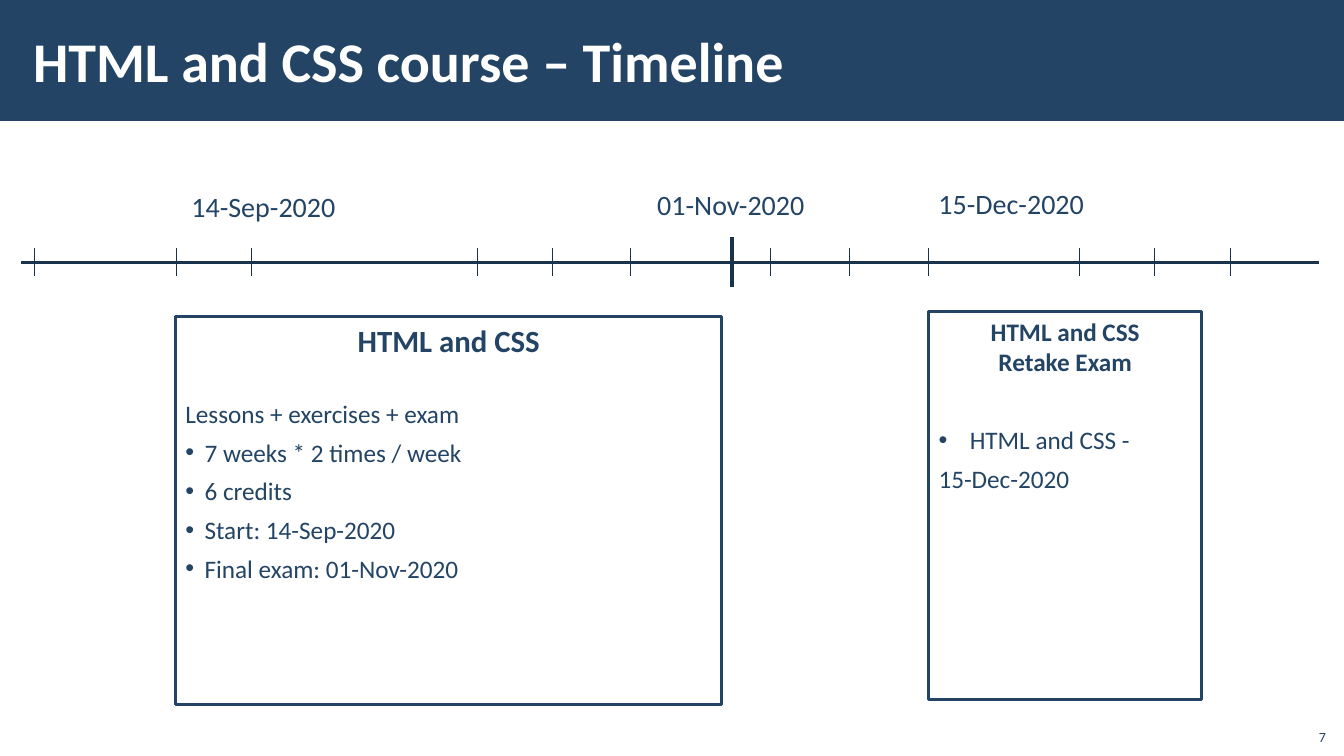
from lxml import etree
from pptx import Presentation
from pptx import util as u
from pptx.dml.color import RGBColor
from pptx.enum import shapes, text
from pptx.oxml.ns import qn

# Content; lengths are columns and rows of a grid of one-inch cells
COLUMNS, ROWS = 13.33, 7.5
NAVY, INK, WHITE = "234465", "1A334C", "FFFFFF"
LEFT, CENTER, RIGHT = text.PP_ALIGN.LEFT, text.PP_ALIGN.CENTER, text.PP_ALIGN.RIGHT
TOP, MIDDLE, BOTTOM = text.MSO_ANCHOR.TOP, text.MSO_ANCHOR.MIDDLE, text.MSO_ANCHOR.BOTTOM

TITLE = "HTML and CSS course – Timeline"
PAGE_NUMBER = "7"
AXIS = dict(left=0.21, right=13.08, row=2.6)
TICKS = [0.34, 1.75, 2.49, 4.73, 5.48, 6.25, 7.64, 8.42, 9.21, 10.71, 11.45, 12.2]
EXAM_MARK = 7.26
DATES = [
    ("14-Sep-2020", (1.8, 1.83, 1.68, 0.44)),
    ("01-Nov-2020", (6.42, 1.81, 1.68, 0.44)),
    ("15-Dec-2020", (9.21, 1.8, 1.66, 0.44)),
]

# Paragraph formats: size, bold, alignment, space before and after, bullet indent
COURSE_HEAD = dict(size=22, bold=True, align=CENTER, before=3, after=3)
COURSE_LEAD = dict(size=18, before=25.5)
COURSE_ITEM = dict(size=18, before=6, indent=0.19)
RETAKE_HEAD = dict(size=18, bold=True, align=CENTER, before=3, after=3)
RETAKE_ITEM = dict(size=18, before=31, after=3, indent=0.31)
RETAKE_DATE = dict(size=18, before=3, after=3)
CARDS = [
    ((1.74, 3.14, 5.42, 3.85), [
        ("HTML and CSS", COURSE_HEAD),
        ("Lessons + exercises + exam", COURSE_LEAD),
        ("7 weeks * 2 times / week", COURSE_ITEM),
        ("6 credits", COURSE_ITEM),
        ("Start: 14-Sep-2020", COURSE_ITEM),
        ("Final exam: 01-Nov-2020", COURSE_ITEM),
    ]),
    ((9.21, 3.09, 2.71, 3.85), [
        ("HTML and CSS\vRetake Exam", RETAKE_HEAD),
        ("HTML and CSS -", RETAKE_ITEM),
        ("15-Dec-2020", RETAKE_DATE),
    ]),
]


def color(value):
    return RGBColor.from_string(value)


def cells(place):
    return [u.Inches(length) for length in place]


def add_bullet(para, indent):
    props = para._p.get_or_add_pPr()
    props.set("marL", str(u.Inches(indent)))
    props.set("indent", str(-u.Inches(indent)))
    etree.SubElement(props, qn("a:buFont"), typeface="Arial")
    etree.SubElement(props, qn("a:buChar"), char="•")


def write(box, lines, anchor=TOP, wrap=True):
    frame = box.text_frame
    frame.word_wrap, frame.vertical_anchor = wrap, anchor
    for index, (words, style) in enumerate(lines):
        para = frame.add_paragraph() if index else frame.paragraphs[0]
        para.text = words
        layout = dict(alignment=style.get("align", LEFT),
                      space_before=u.Pt(style.get("before", 0)),
                      space_after=u.Pt(style.get("after", 0)))
        for name, value in layout.items():
            setattr(para, name, value)
        if "indent" in style:
            add_bullet(para, style["indent"])
        font = dict(name="Calibri", size=u.Pt(style["size"]), bold=style.get("bold", False))
        for span in para.runs:
            for name, value in font.items():
                setattr(span.font, name, value)
            span.font.color.rgb = color(style.get("color", NAVY))


def add_text(page, place, words, style, **options):
    write(page.shapes.add_textbox(*cells(place)), [(words, style)], **options)


def add_box(page, place, fill, line=None):
    box = page.shapes.add_shape(shapes.MSO_SHAPE.RECTANGLE, *cells(place))
    box.shadow.inherit = False
    box.fill.solid()
    box.fill.fore_color.rgb = color(fill)
    if line:
        box.line.color.rgb = color(line)
        box.line.width = u.Pt(2)
    else:
        box.line.fill.background()
    return box


def add_line(page, ends, width):
    line = page.shapes.add_connector(shapes.MSO_CONNECTOR.STRAIGHT, *cells(ends))
    line.line.color.rgb = color(INK)
    line.line.width = u.Pt(width)
    etree.SubElement(line._element.spPr, qn("a:effectLst"))


def add_mark(page, column, half, width):
    add_line(page, (column, AXIS["row"] - half, column, AXIS["row"] + half), width)


def main():
    deck = Presentation()
    deck.slide_width, deck.slide_height = cells((COLUMNS, ROWS))
    page = deck.slides.add_slide(deck.slide_layouts[6])

    # Title band
    add_box(page, (0, 0, COLUMNS, 1.2), NAVY)
    add_text(page, (0.23, 0.11, 10.63, 0.97), TITLE,
             dict(size=40, bold=True, color=WHITE), anchor=MIDDLE)

    # Timeline axis, exam mark and ticks
    add_line(page, (AXIS["left"], AXIS["row"], AXIS["right"], AXIS["row"]), 2.25)
    add_mark(page, EXAM_MARK, 0.25, 2.25)
    for column in TICKS:
        add_mark(page, column, 0.14, 0.5)

    # Dates above the axis
    for words, place in DATES:
        add_text(page, place, words, dict(size=20), wrap=False)

    # Cards below the axis
    for place, lines in CARDS:
        write(add_box(page, place, WHITE, NAVY), lines)

    # Page number
    add_text(page, (12.85, 7.12, 0.4, 0.32), PAGE_NUMBER,
             dict(size=10, align=RIGHT), anchor=BOTTOM)

    deck.save("out.pptx")


if __name__ == "__main__":
    main()
